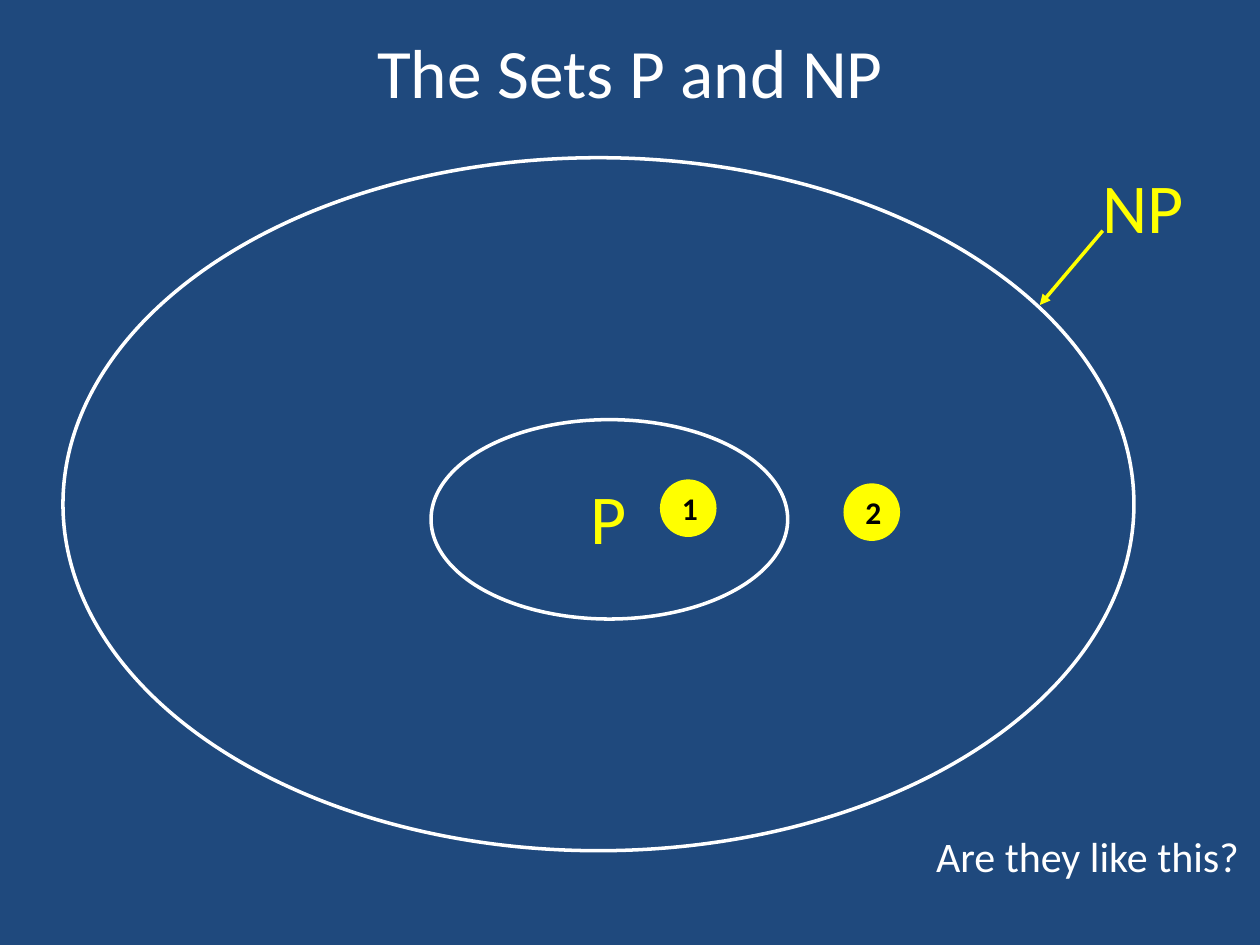
from lxml import etree
from pptx import Presentation
from pptx.dml.color import RGBColor
from pptx.enum.shapes import MSO_CONNECTOR, MSO_SHAPE
from pptx.enum.text import MSO_ANCHOR, MSO_AUTO_SIZE, PP_ALIGN
from pptx.oxml.ns import qn
from pptx.util import Cm, Pt

OVAL = MSO_SHAPE.OVAL
STRAIGHT = MSO_CONNECTOR.STRAIGHT
MIDDLE = MSO_ANCHOR.MIDDLE
FIT_SHAPE = MSO_AUTO_SIZE.SHAPE_TO_FIT_TEXT
LEFT, CENTER = PP_ALIGN.LEFT, PP_ALIGN.CENTER

NAVY, WHITE, YELLOW, BLACK = "1F497D", "FFFFFF", "FFFF00", "000000"
TITLE = ("The Sets P and NP", (1.27, 0.43, 22.86, 1.98))
SETS = [(1.27, 3.18, 21.59, 13.97), (8.69, 8.46, 7.19, 4.02)]
MARKERS = [("1", 13.34, 9.7), ("2", 17.04, 9.78)]
MARKER_SIZE = (1.07, 1.09)
LABELS = [
    ("P", (11.66, 9.45, 1.24, 1.96), 40, YELLOW, False),
    ("NP", (21.97, 3.18, 2.51, 1.96), 40, YELLOW, True),
    ("Are they like this?", (18.62, 16.61, 6.68, 1.27), 24, WHITE, False),
]
ARROW = (22.23, 4.65, 20.96, 6.15)


def cm(values):
    return [Cm(v) for v in values]


def rgb(value):
    return RGBColor.from_string(value)


def put_text(shape, text, size=18, color=WHITE, bold=False, align=LEFT):
    p = shape.text_frame.paragraphs[0]
    p.alignment = align
    r = p.add_run()
    r.text = text
    r.font.name = "Calibri"
    r.font.size = Pt(size)
    r.font.bold = bold
    r.font.color.rgb = rgb(color)


def set_line(shape, color):
    shape.line.color.rgb = rgb(color)
    shape.line.width = Pt(2)


def add_oval(s, box, line, fill=None):
    oval = s.shapes.add_shape(OVAL, *cm(box))
    oval.shadow.inherit = False
    if fill:
        oval.fill.solid()
        oval.fill.fore_color.rgb = rgb(fill)
    else:
        oval.fill.background()
    set_line(oval, line)
    return oval


def add_label(s, text, box, size, color, wrap):
    label = s.shapes.add_textbox(*cm(box))
    label.text_frame.word_wrap = wrap
    label.text_frame.auto_size = FIT_SHAPE
    put_text(label, text, size=size, color=color)


def add_arrow(s, ends, color):
    arrow = s.shapes.add_connector(STRAIGHT, *cm(ends))
    set_line(arrow, color)
    etree.SubElement(arrow.line._get_or_add_ln(), qn("a:tailEnd"), type="triangle")
    etree.SubElement(arrow._element.spPr, qn("a:effectLst"))


def main():
    prs = Presentation()
    prs.slide_width, prs.slide_height = cm((25.4, 19.05))
    s = prs.slides.add_slide(prs.slide_layouts[5])
    s.background.fill.solid()
    s.background.fill.fore_color.rgb = rgb(NAVY)

    text, box = TITLE
    title = s.shapes.title
    title.left, title.top, title.width, title.height = cm(box)
    title.text_frame.vertical_anchor = MIDDLE
    put_text(title, text, size=39.6, align=CENTER)

    for box in SETS:
        add_oval(s, box, WHITE)
    for text, left, top in MARKERS:
        marker = add_oval(s, (left, top, *MARKER_SIZE), YELLOW, fill=YELLOW)
        marker.text_frame.vertical_anchor = MIDDLE
        put_text(marker, text, color=BLACK, bold=True, align=CENTER)
    for label in LABELS:
        add_label(s, *label)
    add_arrow(s, ARROW, YELLOW)
    prs.save("out.pptx")


if __name__ == "__main__":
    main()
